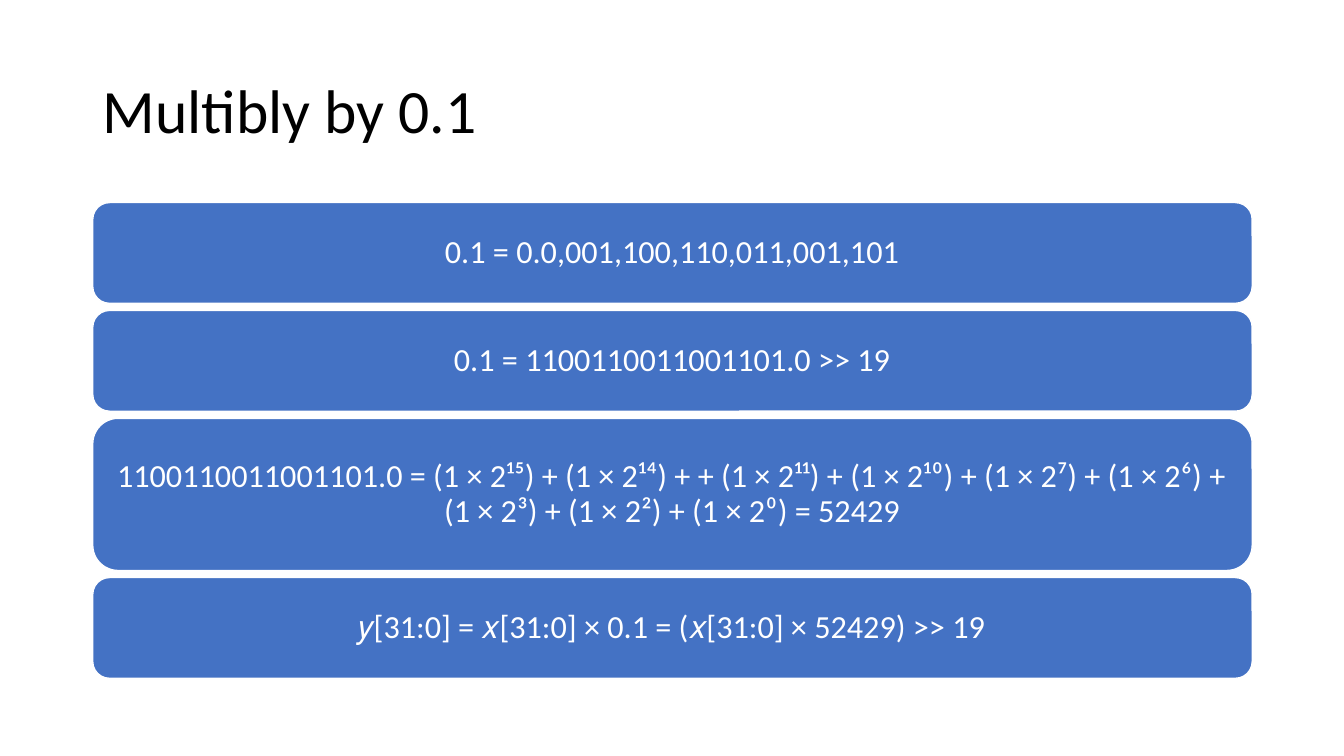
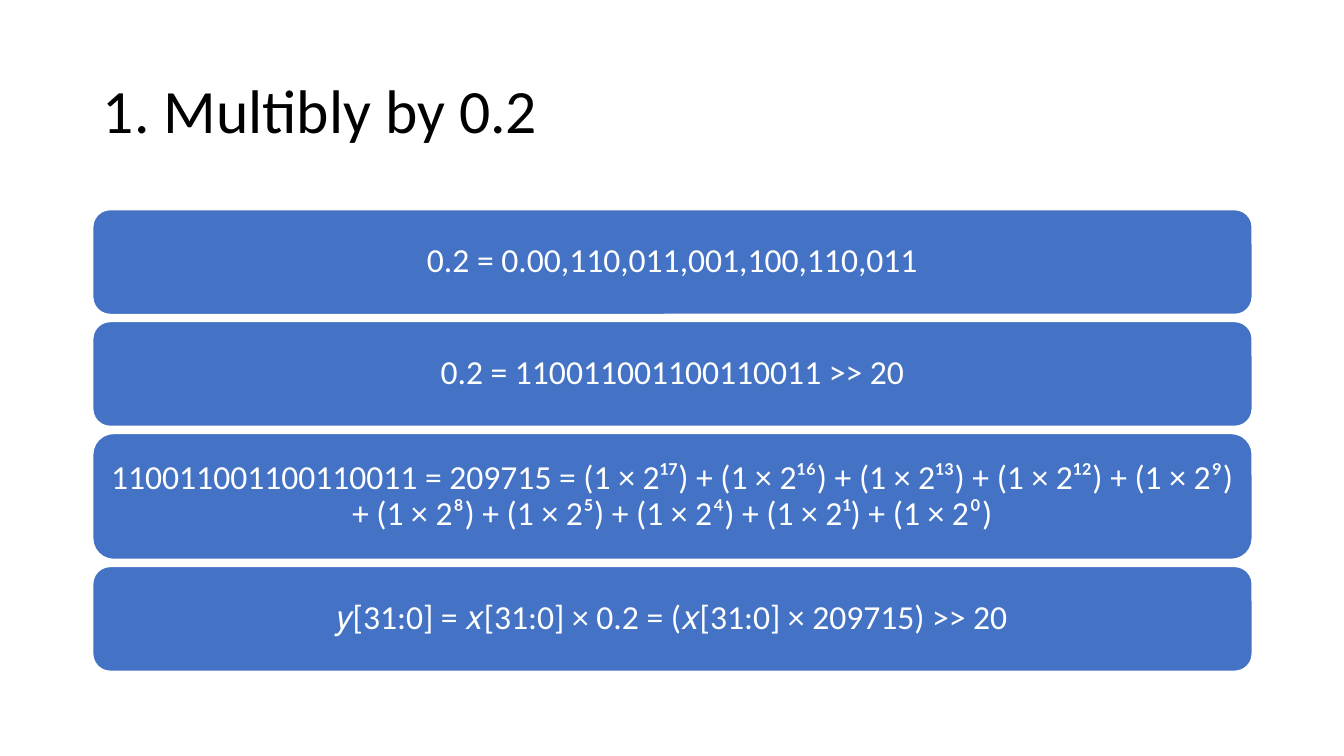
from pptx import Presentation
from pptx import util as u
from pptx.dml.color import RGBColor
from pptx.enum import shapes, text

COLOURS = {"title": "000000", "step": "4472C4", "step_text": "FFFFFF", "outline": "FFFFFF"}
FONT = "Calibri"
LEFT, WIDTH = 0.92, 11.5
STACK_CENTRE, GAP = 4.37, 0.07

LESSONS = [
    {
        "title": "Multibly by 0.1",
        "size": 23,
        "steps": [
            ("0.1 = 0.0,001,100,110,011,001,101", 1),
            ("0.1 = 1100110011001101.0 >> 19", 1),
            ("1100110011001101.0 = (1 × 2¹⁵) + (1 × 2¹⁴) + + (1 × 2¹¹) + (1 × 2¹⁰) + "
             "(1 × 2⁷) + (1 × 2⁶) + (1 × 2³) + (1 × 2²) + (1 × 2⁰) = 52429", 1.51),
            ("𝑦[31:0] = 𝑥[31:0] × 0.1 = (𝑥[31:0] × 52429) >> 19", 1),
        ],
    },
    {
        "title": "1. Multibly by 0.2",
        "size": 24,
        "steps": [
            ("0.2 = 0.00,110,011,001,100,110,011", 1.04),
            ("0.2 = 110011001100110011 >> 20", 1.04),
            ("110011001100110011 = 209715 = (1 × 2¹⁷) + (1 × 2¹⁶) + (1 × 2¹³) + (1 × 2¹²) + "
             "(1 × 2⁹) + (1 × 2⁸) + (1 × 2⁵) + (1 × 2⁴) + (1 × 2¹) + (1 × 2⁰)", 1.25),
            ("𝑦[31:0] = 𝑥[31:0] × 0.2 = (𝑥[31:0] × 209715) >> 20", 1.04),
        ],
    },
]


def write(holder, wording, *, size, colour, align, inset_y):
    frame = holder.text_frame
    frame.word_wrap = True
    frame.auto_size = text.MSO_AUTO_SIZE.NONE
    frame.vertical_anchor = text.MSO_ANCHOR.MIDDLE
    frame.margin_left = frame.margin_right = u.Inches(0.1)
    frame.margin_top = frame.margin_bottom = u.Inches(inset_y)
    paragraph = frame.paragraphs[0]
    paragraph.alignment = align
    paragraph.line_spacing = 0.9
    run = paragraph.add_run()
    run.text = wording
    run.font.name = FONT
    run.font.size = u.Pt(size)
    run.font.color.rgb = RGBColor.from_string(COLOURS[colour])


deck = Presentation()
deck.slide_width, deck.slide_height = u.Inches(13.33), u.Inches(7.5)
title_only = deck.slide_layouts[5]

for lesson in LESSONS:
    slide = deck.slides.add_slide(title_only)
    title = slide.shapes.title
    title.left, title.top = u.Inches(LEFT), u.Inches(0.4)
    title.width, title.height = u.Inches(WIDTH), u.Inches(1.45)
    write(title, lesson["title"], size=44, colour="title",
          align=text.PP_ALIGN.LEFT, inset_y=0.05)

    steps = lesson["steps"]
    stack_height = sum(height for _, height in steps) + GAP * (len(steps) - 1)
    top = STACK_CENTRE - stack_height / 2
    for formula, height in steps:
        step = slide.shapes.add_shape(
            shapes.MSO_SHAPE.ROUNDED_RECTANGLE,
            u.Inches(LEFT), u.Inches(top), u.Inches(WIDTH), u.Inches(height))
        step.shadow.inherit = False
        step.fill.solid()
        step.fill.fore_color.rgb = RGBColor.from_string(COLOURS["step"])
        step.line.color.rgb = RGBColor.from_string(COLOURS["outline"])
        step.line.width = u.Pt(1)
        write(step, formula, size=lesson["size"], colour="step_text",
              align=text.PP_ALIGN.CENTER, inset_y=0.1)
        top += height + GAP

deck.save("out.pptx")
